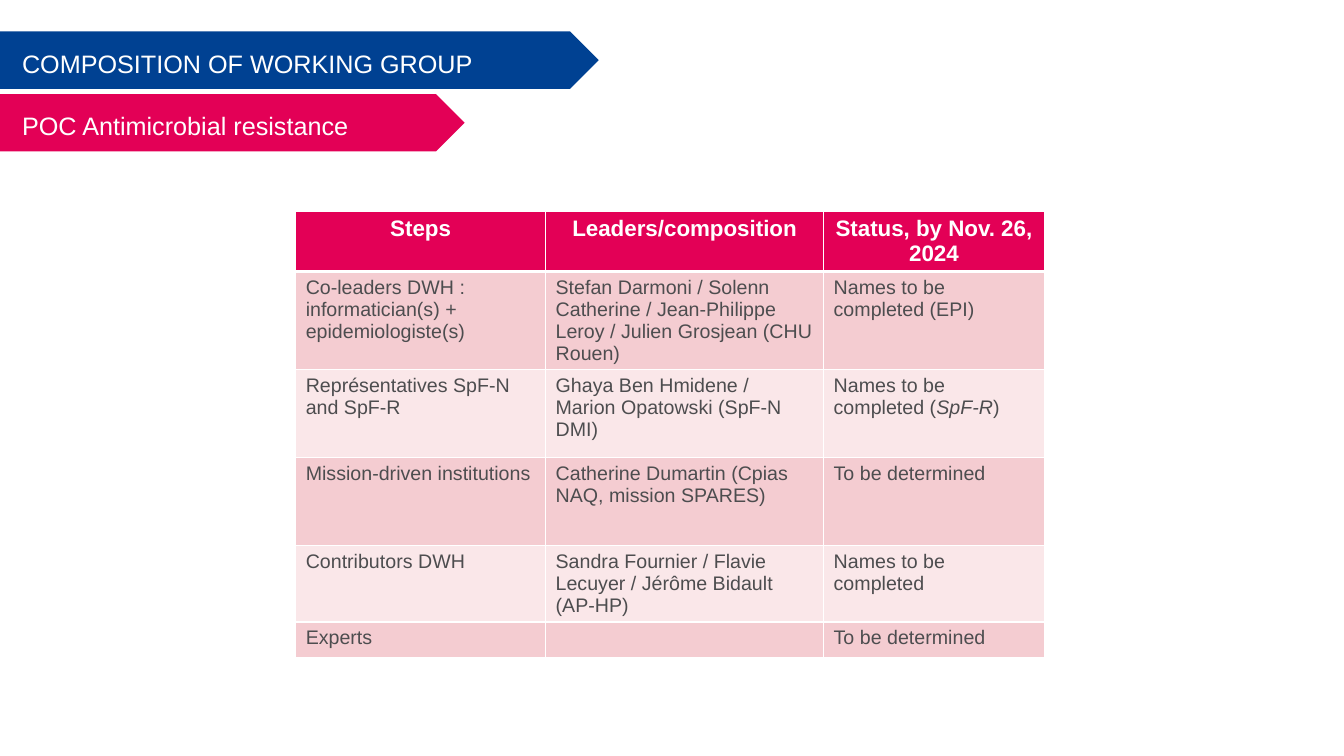
import pptx
import pptx.util
import pptx.dml.color
import pptx.enum.shapes
import pptx.enum.text
import pptx.oxml
import pptx.oxml.ns

Pt = pptx.util.Pt
RGBColor = pptx.dml.color.RGBColor
ANCHOR = pptx.enum.text.MSO_ANCHOR
ALIGN = pptx.enum.text.PP_ALIGN

BLUE = RGBColor(0x00, 0x41, 0x92)
PINK = RGBColor(0xE3, 0x00, 0x56)
ROSE = RGBColor(0xF4, 0xCC, 0xD1)
PALE = RGBColor(0xFA, 0xE7, 0xE9)
GREY = RGBColor(0x4D, 0x4D, 0x4F)
WHITE = RGBColor(0xFF, 0xFF, 0xFF)
FONT = "Arial"

BANNERS = [
    ("COMPOSITION OF WORKING GROUP", 22.5, 427.7, BLUE),
    ("POC Antimicrobial resistance", 67.2, 331.9, PINK),
]
BANNER_HEIGHT = 41

ITALIC = "SpF-R"
ROWS = [
    (42.1, ["Steps", "Leaders/composition", "Status, by Nov. 26, 2024"]),
    (70, ["Co-leaders DWH : informatician(s) + epidemiologiste(s)",
          "Stefan Darmoni / Solenn Catherine / Jean-Philippe Leroy / Julien Grosjean (CHU Rouen)",
          "Names to be completed (EPI)"]),
    (62.9, ["Représentatives SpF-N and SpF-R",
            "Ghaya Ben Hmidene / Marion Opatowski (SpF-N DMI)",
            ["Names to be completed (", ITALIC, ")"]]),
    (62.9, ["Mission-driven institutions",
            "Catherine Dumartin (Cpias NAQ, mission SPARES)",
            "To be determined"]),
    (54.3, ["Contributors DWH",
            "Sandra Fournier / Flavie Lecuyer / Jérôme Bidault (AP-HP)",
            "Names to be completed"]),
    (25.2, ["Experts", "", "To be determined"]),
]
COLUMNS = [178.5, 198.6, 157.7]
TABLE_LEFT, TABLE_TOP = 211.2, 151.2


def style(span, size, color, bold=False):
    span.font.name = FONT
    span.font.size = Pt(size)
    span.font.color.rgb = color
    span.font.bold = bold


def add_banner(page, text, top, width, color):
    banner = page.shapes.add_shape(
        pptx.enum.shapes.MSO_SHAPE.PENTAGON, 0, Pt(top), Pt(width), Pt(BANNER_HEIGHT))
    banner.shadow.inherit = False
    banner.fill.solid()
    banner.fill.fore_color.rgb = color
    banner.line.fill.background()
    frame = banner.text_frame
    frame.text = text
    frame.word_wrap = True
    frame.vertical_anchor = ANCHOR.MIDDLE
    frame.margin_left, frame.margin_top = Pt(15.8), Pt(4)
    frame.margin_right = frame.margin_bottom = 0
    para = frame.paragraphs[0]
    para.alignment = ALIGN.LEFT
    style(para.runs[0], 18, WHITE)


def add_borders(cell, widths):
    properties = cell._tc.get_or_add_tcPr()
    for position, (side, width) in enumerate(widths.items()):
        properties.insert(position, pptx.oxml.parse_xml(
            f'<a:{side} {pptx.oxml.ns.nsdecls("a")} w="{Pt(width)}"><a:solidFill>'
            f'<a:srgbClr val="{WHITE}"/></a:solidFill></a:{side}>'))


def fill_cell(cell, content, row):
    header = row == 0
    cell.fill.solid()
    cell.fill.fore_color.rgb = PINK if header else (ROSE if row % 2 else PALE)
    add_borders(cell, {"lnL": 1, "lnR": 1, "lnT": 3 if row == 1 else 1, "lnB": 3 if header else 1})
    para = cell.text_frame.paragraphs[0]
    para.alignment = ALIGN.CENTER if header else ALIGN.LEFT
    size, color = (16, WHITE) if header else (14, GREY)
    para.font.name, para.font.size = FONT, Pt(size)
    for text in [content] if isinstance(content, str) else content:
        if text:
            span = para.add_run()
            span.text = text
            style(span, size, color, header)
            span.font.italic = text == ITALIC


def add_group_table(page):
    table = page.shapes.add_table(
        len(ROWS), len(COLUMNS), Pt(TABLE_LEFT), Pt(TABLE_TOP),
        Pt(sum(COLUMNS)), Pt(sum(height for height, _ in ROWS))).table
    for column, width in zip(table.columns, COLUMNS):
        column.width = Pt(width)
    for row, (height, contents) in enumerate(ROWS):
        table.rows[row].height = Pt(height)
        for column, content in enumerate(contents):
            fill_cell(table.cell(row, column), content, row)


def main():
    deck = pptx.Presentation()
    deck.slide_width, deck.slide_height = Pt(960), Pt(540)
    page = deck.slides.add_slide(deck.slide_layouts[6])
    for banner in BANNERS:
        add_banner(page, *banner)
    add_group_table(page)
    deck.save("out.pptx")


if __name__ == "__main__":
    main()
